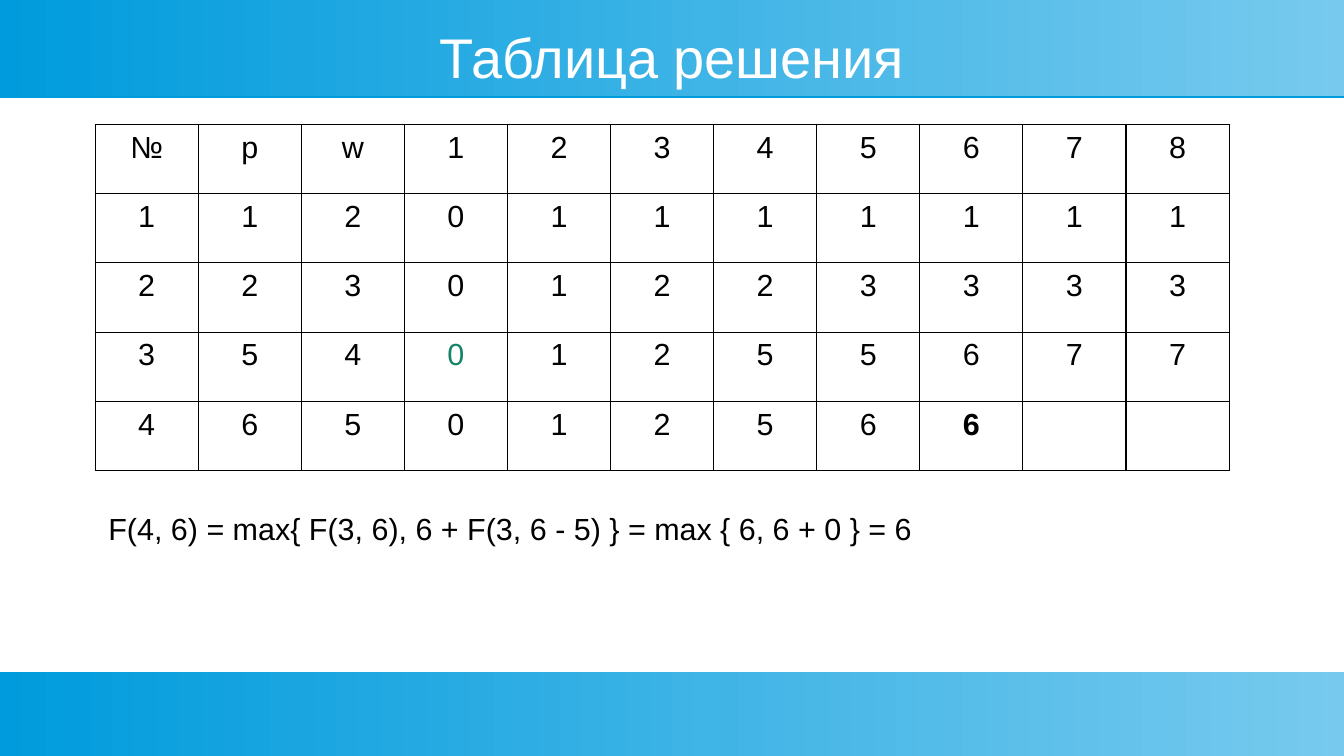
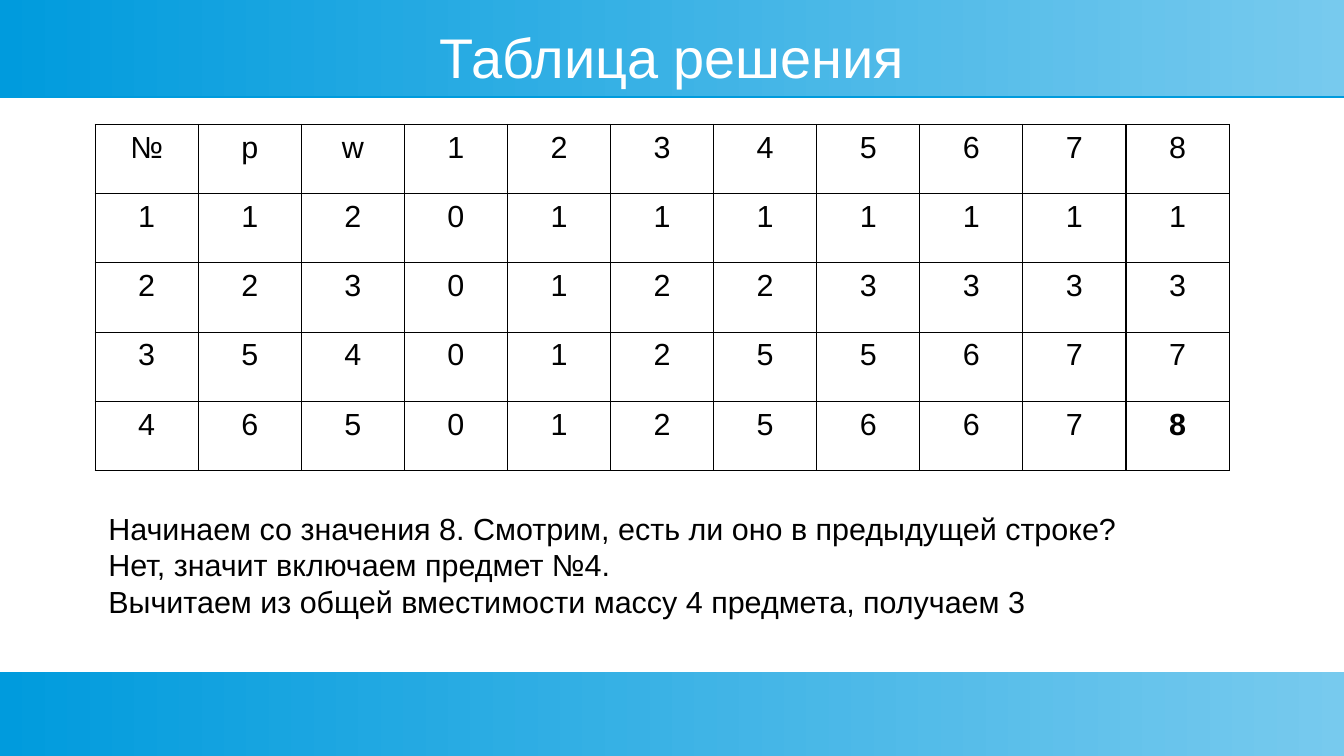
from dataclasses import dataclass

from lxml.etree import SubElement
from pptx import Presentation
from pptx.dml.color import RGBColor as RGB
from pptx.enum.shapes import MSO_SHAPE as Shape
from pptx.enum.text import MSO_ANCHOR as Anchor, MSO_AUTO_SIZE as AutoSize, PP_ALIGN as Align
from pptx.oxml.ns import qn
from pptx.util import Inches, Pt


@dataclass(frozen=True)
class Theme:
    font: str = "Arial"
    title_size: int = 33
    text_size: int = 18
    border_width: float = 0.75
    band_light: RGB = RGB(0x77, 0xCA, 0xEE)
    band_dark: RGB = RGB(0x00, 0x9B, 0xDD)
    white: RGB = RGB(0xFF, 0xFF, 0xFF)
    black: RGB = RGB(0x00, 0x00, 0x00)
    green: RGB = RGB(0x15, 0x84, 0x66)


theme = Theme()
WIDTH, HEIGHT = 11.02, 6.2


def write_text(frame, text, size=theme.text_size, color=theme.black, bold=False, align=Align.LEFT):
    """Fill a text frame, one paragraph per line."""
    for number, line in enumerate(text.split("\n")):
        para = frame.add_paragraph() if number else frame.paragraphs[0]
        para.alignment = align
        span = para.add_run()
        span.text = line
        span.font.name = theme.font
        span.font.size = Pt(size)
        span.font.bold = bold
        span.font.color.rgb = color


def add_border(cell):
    """Draw a thin line on all four sides of a table cell."""
    properties = cell._tc.get_or_add_tcPr()
    for side in ("a:lnL", "a:lnR", "a:lnT", "a:lnB"):
        line = SubElement(properties, qn(side), w=str(Pt(theme.border_width)))
        fill = SubElement(line, qn("a:solidFill"))
        SubElement(fill, qn("a:srgbClr"), val=str(theme.black))


# Content: the first four table rows are the same on both pages
TITLE = "Таблица решения"
COMMON_ROWS = [
    "№ p w 1 2 3 4 5 6 7 8",
    "1 1 2 0 1 1 1 1 1 1 1",
    "2 2 3 0 1 2 2 3 3 3 3",
    "3 5 4 0 1 2 5 5 6 7 7",
]
PAGES = [
    {
        "last_row": "4 6 5 0 1 2 5 6 6",
        "accents": {(3, 3): {"color": theme.green}, (4, 8): {"bold": True}},
        "note": "F(4, 6) = max{ F(3, 6), 6 + F(3, 6 - 5) } = max { 6, 6 + 0 } = 6",
        "note_height": 0.38,
    },
    {
        "last_row": "4 6 5 0 1 2 5 6 6 7 8",
        "accents": {(4, 10): {"bold": True}},
        "note": "Начинаем со значения 8. Смотрим, есть ли оно в предыдущей строке?\n"
                "Нет, значит включаем предмет №4.\n"
                "Вычитаем из общей вместимости массу 4 предмета, получаем 3",
        "note_height": 0.94,
    },
]

deck = Presentation()
deck.slide_width, deck.slide_height = Inches(WIDTH), Inches(HEIGHT)
layout = deck.slide_layouts.get_by_name("Title Only")

# Shared title place
layout_title = layout.placeholders[0]
layout_title.left, layout_title.top = Inches(0.39), Inches(0.2)
layout_title.width, layout_title.height = Inches(10.24), Inches(0.52)
title_frame = layout_title.text_frame
title_frame.margin_left = title_frame.margin_right = 0
title_frame.margin_top = title_frame.margin_bottom = 0
title_frame.vertical_anchor = Anchor.MIDDLE
title_frame.auto_size = AutoSize.NONE

pages = [deck.slides.add_slide(layout) for _ in PAGES]

# Shared bands: drawn once, then moved behind the title of the layout
for number, (top, height) in enumerate([(0, 0.79), (5.51, 0.69)]):
    band = pages[0].shapes.add_shape(
        Shape.RECTANGLE, 0, Inches(top), Inches(WIDTH), Inches(height))
    band.line.fill.background()
    band.fill.gradient()
    band.fill.gradient_angle = 180
    for stop, color in zip(band.fill.gradient_stops, (theme.band_light, theme.band_dark)):
        stop.color.rgb = color
    band.shadow.inherit = False
    effects = band.element.spPr.find(qn("a:effectLst"))
    shadow = SubElement(effects, qn("a:outerShdw"), blurRad="0", dist=str(Pt(0.9)),
                        dir="5400000", algn="t", rotWithShape="0")
    SubElement(shadow, qn("a:srgbClr"), val=str(theme.band_dark))
    band.element.nvSpPr.cNvPr.set("id", str(20 + number))
    layout.shapes.element.insert(2 + number, band.element)

for page, content in zip(pages, PAGES):
    write_text(page.shapes.title.text_frame, TITLE, size=theme.title_size,
               color=theme.white, align=Align.CENTER)

    # Solution table
    rows = [row.split() for row in COMMON_ROWS + [content["last_row"]]]
    table = page.shapes.add_table(len(rows), len(rows[0]), Inches(0.78), Inches(1.02),
                                  Inches(9.3), Inches(2.84)).table
    table.first_row = table.horz_banding = False
    for row_index, values in enumerate(rows):
        for column_index in range(len(rows[0])):
            cell = table.cell(row_index, column_index)
            cell.margin_left = cell.margin_right = Inches(0.04)
            add_border(cell)
            cell.fill.background()
            if column_index < len(values):
                accent = content["accents"].get((row_index, column_index), {})
                write_text(cell.text_frame, values[column_index], align=Align.CENTER, **accent)

    # Note below the table
    box = page.shapes.add_textbox(Inches(0.79), Inches(4.13), Inches(9.25),
                                  Inches(content["note_height"]))
    box.text_frame.word_wrap = True
    write_text(box.text_frame, content["note"])

deck.save("out.pptx")
